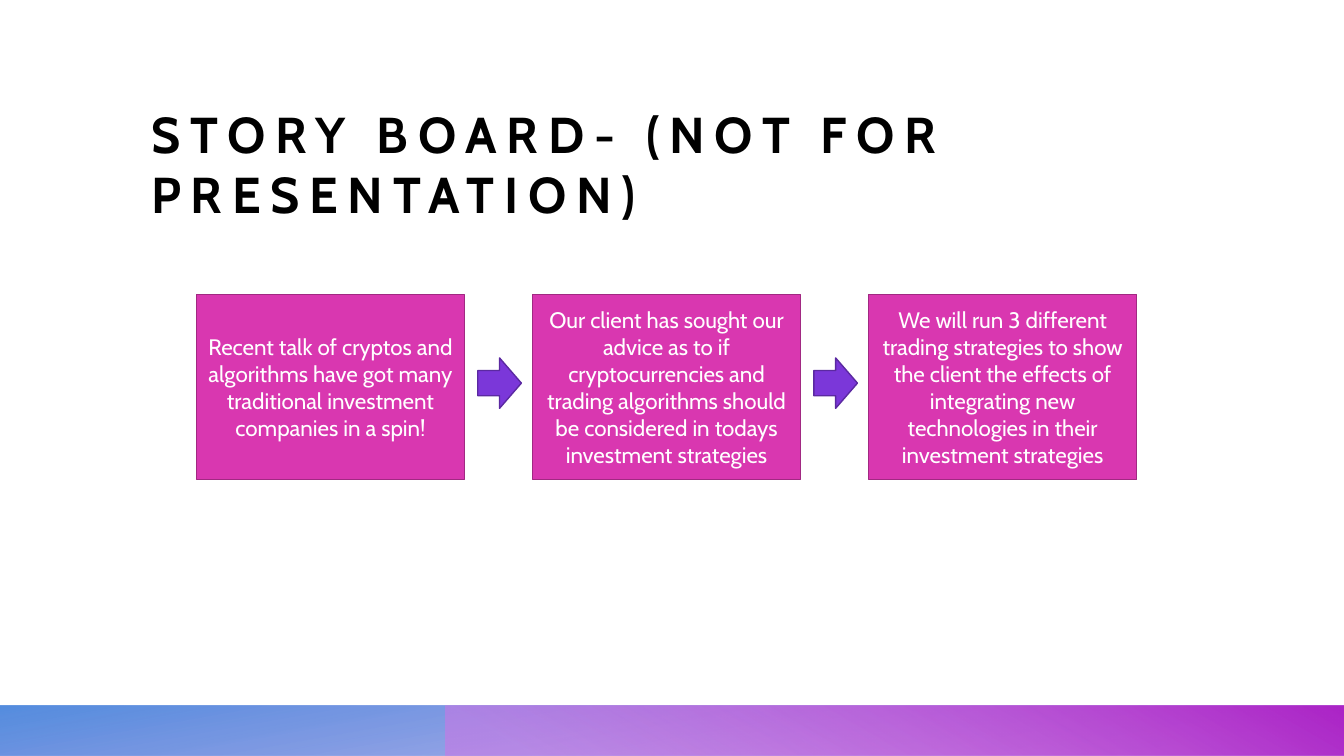
from pptx import Presentation
from pptx.dml.color import RGBColor
from pptx.enum.shapes import MSO_SHAPE
from pptx.enum.text import MSO_ANCHOR, MSO_AUTO_SIZE, PP_ALIGN
from pptx.oxml.ns import qn
from pptx.util import Cm, Pt

RECTANGLE, RIGHT_ARROW = MSO_SHAPE.RECTANGLE, MSO_SHAPE.RIGHT_ARROW
MIDDLE, BOTTOM = MSO_ANCHOR.MIDDLE, MSO_ANCHOR.BOTTOM
LEFT, CENTER = PP_ALIGN.LEFT, PP_ALIGN.CENTER

PAGE_WIDTH, PAGE_HEIGHT = 33.87, 19.05
BAND_HEIGHT = 1.27
BAND_SPLIT = 11.22
FONT = "Cabin"
TITLE = "STORY BOARD- (NOT FOR PRESENTATION)"
STEPS = [
    "Recent talk of cryptos and algorithms have got many traditional "
    "investment companies in a spin!",
    "Our client has sought our advice as to if cryptocurrencies and trading "
    "algorithms should be considered in todays investment strategies",
    "We will run 3 different trading strategies to show the client the "
    "effects of integrating new technologies in their investment strategies",
]


def color(hex_string):
    return RGBColor.from_string(hex_string)


def set_font(para, size, hex_string, bold=False):
    font = para.font
    font.name, font.size, font.bold = FONT, Pt(size), bold
    font.color.rgb = color(hex_string)


def add_plain_shape(page, kind, box):
    """Add a shape without shadow; box is left, top, width, height in cm."""
    shape = page.shapes.add_shape(kind, *(Cm(length) for length in box))
    shape.shadow.inherit = False
    return shape


def add_filled_shape(page, kind, box, fill, line):
    shape = add_plain_shape(page, kind, box)
    shape.fill.solid()
    shape.fill.fore_color.rgb = color(fill)
    shape.line.color.rgb = color(line)
    shape.line.width = Pt(1)
    return shape


def add_band(page, box, stops, angle, rotation=0):
    """Add a mirrored gradient strip; stops are position, colour, opacity in %."""
    band = add_plain_shape(page, RECTANGLE, box)
    band.rotation = rotation
    band.line.fill.background()
    band.fill.gradient()
    band.fill.gradient_angle = 360 - angle
    for stop, (position, hex_string, opacity) in zip(band.fill.gradient_stops, stops):
        stop.position = position / 100
        stop.color.rgb = color(hex_string)
    properties = band.element.spPr
    properties.find(qn("a:xfrm")).set("flipH", "1")
    for node, (_, _, opacity) in zip(properties.iter(qn("a:srgbClr")), stops):
        alpha = node.makeelement(qn("a:alpha"), {"val": str(opacity * 1000)})
        node.append(alpha)


def add_footer(page, box):
    left, top, width, height = box
    add_band(page, box, [(14, "3A3ACC", 28), (100, "377AD9", 85)], 100, rotation=180)
    add_band(page, (left + BAND_SPLIT, top, width - BAND_SPLIT, height),
             [(9, "D274E5", 55), (99, "AC25C7", 100)], 240)


def place_title(page, box):
    title = page.shapes.title
    title.left, title.top, title.width, title.height = (Cm(length) for length in box)
    frame = title.text_frame
    frame.text = TITLE
    frame.auto_size = MSO_AUTO_SIZE.NONE
    frame.word_wrap = True
    frame.vertical_anchor = BOTTOM
    frame.margin_left = frame.margin_top = frame.margin_right = frame.margin_bottom = 0
    para = frame.paragraphs[0]
    para.alignment = LEFT
    set_font(para, 36, "000000", bold=True)
    para.runs[0].font._element.set("spc", "700")


def add_step(page, box, text):
    step = add_filled_shape(page, RECTANGLE, box, "D937B0", "A12982")
    frame = step.text_frame
    frame.word_wrap = True
    frame.vertical_anchor = MIDDLE
    frame.text = text
    para = frame.paragraphs[0]
    para.alignment = CENTER
    set_font(para, 16, "FFFFFF")


def add_storyboard(page, box):
    """Spread the steps evenly over the box, with an arrow in each gap."""
    left, top, width, height = box
    step_width = 6.76
    pitch = (width - step_width) / (len(STEPS) - 1)
    for index, text in enumerate(STEPS):
        step_left = left + index * pitch
        add_step(page, (step_left, top, step_width, height), text)
        if index < len(STEPS) - 1:
            add_filled_shape(page, RIGHT_ARROW,
                             (step_left + step_width + 0.33, top + 1.6, 1.1, 1.27),
                             "7B37D9", "5B29A1")


def main():
    deck = Presentation()
    deck.slide_width, deck.slide_height = Cm(PAGE_WIDTH), Cm(PAGE_HEIGHT)
    page = deck.slides.add_slide(deck.slide_layouts[5])
    add_footer(page, (0, PAGE_HEIGHT - BAND_HEIGHT, PAGE_WIDTH, BAND_HEIGHT))
    place_title(page, (3.81, 2.21, 28.45, 3.43))
    add_storyboard(page, (4.95, 7.42, 23.7, 4.67))
    deck.save("out.pptx")


if __name__ == "__main__":
    main()
